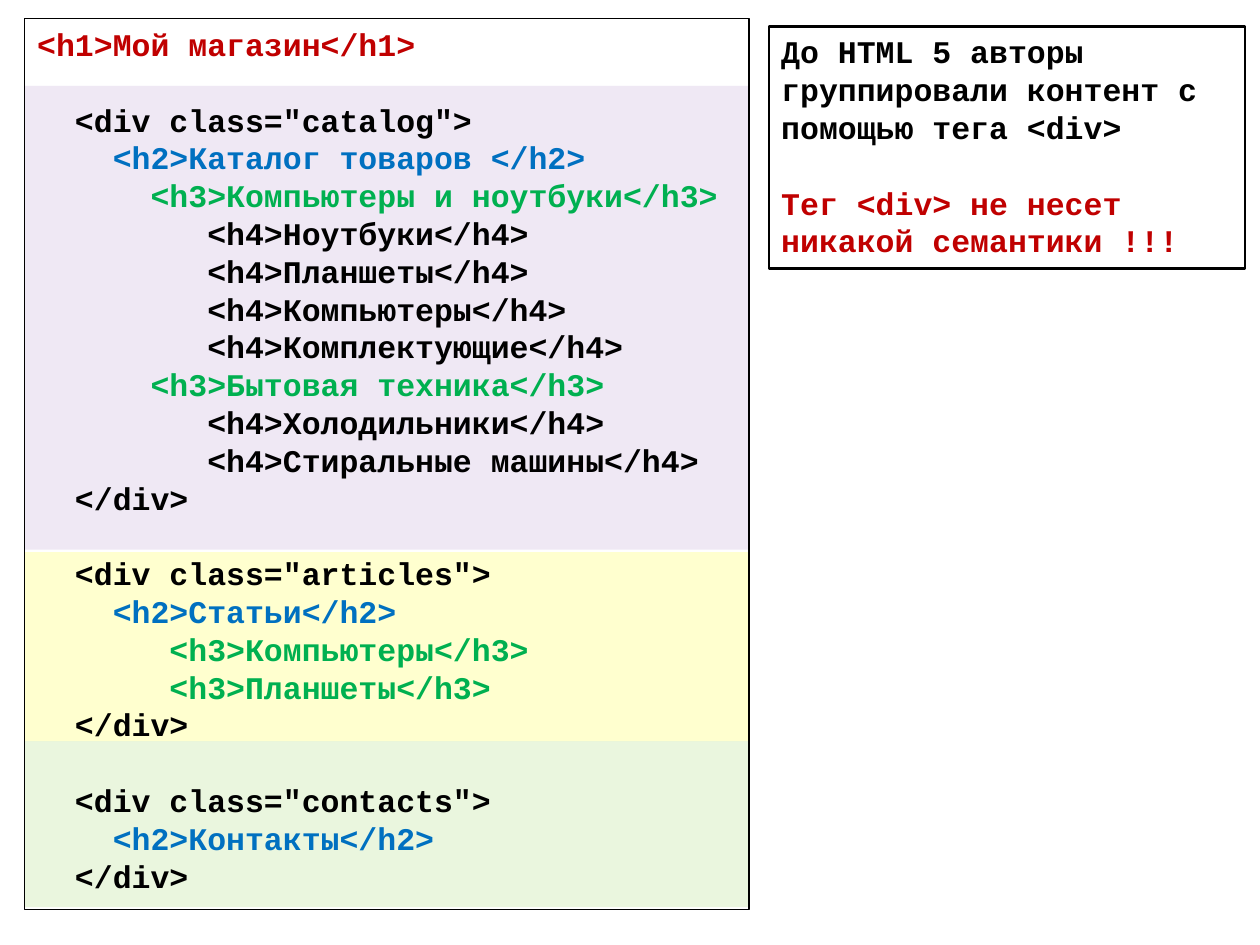
from lxml.etree import SubElement
from pptx import Presentation
from pptx.dml.color import RGBColor
from pptx.enum.shapes import MSO_SHAPE
from pptx.enum.text import MSO_ANCHOR, PP_ALIGN
from pptx.oxml.ns import qn
from pptx.util import Cm, Pt

BLACK, RED, BLUE, GREEN = "000000", "C00000", "0070C0", "00B050"
TAG_COLORS = {"<h1>": RED, "<h2>": BLUE, "<h3>": GREEN}
CHAR = 0.381  # width of one 18 pt monospaced character, cm
LINE = 21.6   # height of one text line, pt


def rgb(color):
    return RGBColor.from_string(color)


def write(p, text, font="Courier New", size=18, color=BLACK, bold=True,
          indent=0, gap=False):
    """Fill a paragraph; indent counts characters, gap skips one line."""
    p.alignment = PP_ALIGN.LEFT
    p._p.get_or_add_pPr().set("marL", str(Cm(indent * CHAR)))
    if gap:
        p.space_before = Pt(LINE)
    r = p.add_run()
    r.text = text
    r.font.name, r.font.size, r.font.bold = font, Pt(size), bold
    r.font.color.rgb = rgb(color)


class Deck:
    def __init__(self, width, height):
        self.prs = Presentation()
        self.prs.slide_width, self.prs.slide_height = Cm(width), Cm(height)
        self.s = None

    def new_slide(self):
        self.s = self.prs.slides.add_slide(self.prs.slide_layouts[6])

    def rect(self, x, y, w, h):
        sp = self.s.shapes.add_shape(MSO_SHAPE.RECTANGLE,
                                     Cm(x), Cm(y), Cm(w), Cm(h))
        sp.shadow.inherit = False
        return sp

    def band(self, x, y, w, h, color, opacity):
        sp = self.rect(x, y, w, h)
        sp.line.fill.background()
        sp.fill.solid()
        sp.fill.fore_color.rgb = rgb(color)
        clr = sp._element.spPr.find(qn("a:solidFill"))[0]
        SubElement(clr, qn("a:alpha")).set("val", str(opacity * 1000))

    def text_frame(self, x, y, w, h, line, paragraphs):
        sp = self.rect(x, y, w, h)
        sp.fill.background()
        sp.line.color.rgb = rgb(BLACK)
        sp.line.width = Pt(line)
        tf = sp.text_frame
        tf.word_wrap = True
        tf.vertical_anchor = MSO_ANCHOR.TOP
        for i, (text, fmt) in enumerate(paragraphs):
            p = tf.add_paragraph() if i else tf.paragraphs[0]
            write(p, text, **fmt)


# Markup: indent in characters, text
CODE = [
    (0, "<h1>Мой магазин</h1>"),
    (2, '<div class="catalog">'),
    (4, "<h2>Каталог товаров </h2>"),
    (6, "<h3>Компьютеры и ноутбуки</h3>"),
    (9, "<h4>Ноутбуки</h4>"),
    (9, "<h4>Планшеты</h4>"),
    (9, "<h4>Компьютеры</h4>"),
    (9, "<h4>Комплектующие</h4>"),
    (6, "<h3>Бытовая техника</h3>"),
    (9, "<h4>Холодильники</h4>"),
    (9, "<h4>Стиральные машины</h4>"),
    (2, "</div>"),
    (2, '<div class="articles">'),
    (4, "<h2>Статьи</h2>"),
    (7, "<h3>Компьютеры</h3>"),
    (7, "<h3>Планшеты</h3>"),
    (2, "</div>"),
    (2, '<div class="contacts">'),
    (4, "<h2>Контакты</h2>"),
    (2, "</div>"),
]
NOTE = [
    ("До HTML 5 авторы группировали контент с помощью тега <div>", {}),
    ("Тег <div> не несет никакой семантики !!!", {"color": RED, "gap": True}),
]
# Section backgrounds: top, height, colour, opacity in percent
BANDS = [
    (1.73, 9.35, "7030A0", 11),
    (11.13, 3.81, "FFFF00", 19),
    (14.94, 3.35, "92D050", 19),
]


def main():
    deck = Deck(25.4, 19.05)
    deck.new_slide()
    left, width = 0.5, 14.6

    # Section backgrounds
    for top, height, color, opacity in BANDS:
        deck.band(left, top, width, height, color, opacity)

    # Markup, coloured by heading level
    code = [(text, {"indent": indent,
                    "color": TAG_COLORS.get(text[:4], BLACK),
                    "gap": text.startswith("<div")})
            for indent, text in CODE]
    deck.text_frame(left, 0.38, width, 17.95, 0.75, code)

    # Comment on the right
    deck.text_frame(15.5, 0.53, 9.6, 4.88, 1.5, NOTE)

    deck.prs.save("out.pptx")


if __name__ == "__main__":
    main()
